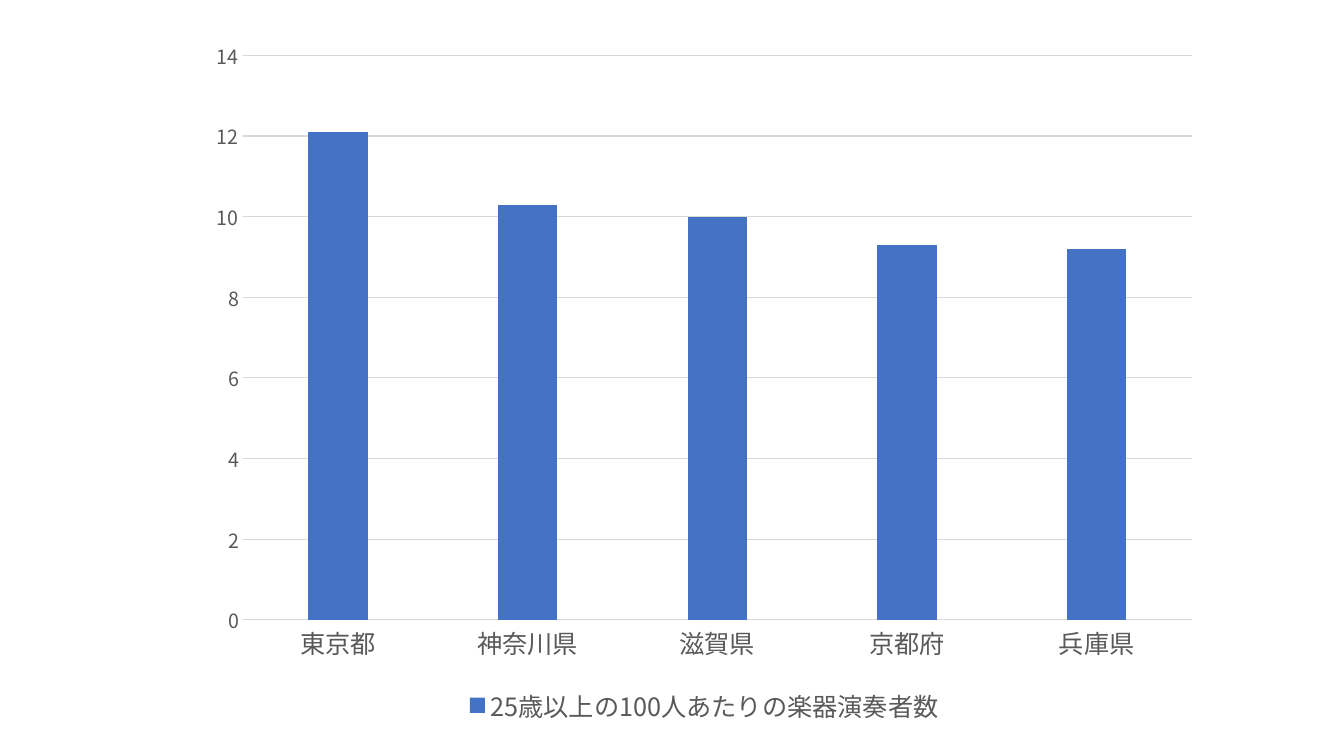
from dataclasses import dataclass
from typing import Any

import pptx
import pptx.chart.data
import pptx.dml.color
import pptx.enum.chart
import pptx.oxml
import pptx.oxml.ns
import pptx.util

FACE = "Noto Sans CJK JP"
COLORS = {"bar": "4472C4", "text": "595959", "grid": "D9D9D9", "base": "000000"}
TITLE = "25歳以上の100人あたりの楽器演奏者数"


@dataclass
class Score:
    place: str
    value: float


SCORES = [
    Score("東京都", 12.1),
    Score("神奈川県", 10.3),
    Score("滋賀県", 10),
    Score("京都府", 9.3),
    Score("兵庫県", 9.2),
]


def color(name: str) -> pptx.dml.color.RGBColor:
    return pptx.dml.color.RGBColor.from_string(COLORS[name])


def style(text: Any, *, size: float, tint: str = "text") -> None:
    """Format the font of a chart part, for Latin and Japanese letters."""
    font = text.font
    font.name = FACE
    font.size = pptx.util.Pt(size)
    font.bold = False
    font.color.rgb = color(tint)


def rule(line: Any) -> None:
    line.color.rgb = color("grid")
    line.width = pptx.util.Pt(0.75)


def draw(slide: Any) -> None:
    enum = pptx.enum.chart
    data = pptx.chart.data.CategoryChartData()
    data.categories = [score.place for score in SCORES]
    data.add_series(TITLE, [score.value for score in SCORES])
    box = [pptx.util.Inches(n) for n in (1.95, 0.27, 10.07, 6.96)]
    chart = slide.shapes.add_chart(
        enum.XL_CHART_TYPE.COLUMN_CLUSTERED, *box, data
    ).chart
    chart.has_title = False
    style(chart, size=10, tint="base")

    # Columns
    plot = chart.plots[0]
    plot.vary_by_categories = False
    plot.gap_width = 219
    plot.overlap = -27
    fill = plot.series[0].format.fill
    fill.solid()
    fill.fore_color.rgb = color("bar")

    # Axes
    places, values = chart.category_axis, chart.value_axis
    for axis, size in ((places, 18), (values, 14)):
        axis.major_tick_mark = enum.XL_TICK_MARK.NONE
        axis.minor_tick_mark = enum.XL_TICK_MARK.NONE
        style(axis.tick_labels, size=size)
    rule(places.format.line)
    values.format.line.fill.background()
    values.minimum_scale, values.maximum_scale = 0, 14
    values.major_unit = 2
    values.has_major_gridlines = True
    rule(values.major_gridlines.format.line)
    values.tick_labels.number_format = "General"
    values.tick_labels.number_format_is_linked = False

    # Legend
    chart.has_legend = True
    chart.legend.position = enum.XL_LEGEND_POSITION.BOTTOM
    chart.legend.include_in_layout = False
    style(chart.legend, size=18)

    # Japanese typeface beside each Latin one
    for latin in chart.element.xpath(".//a:latin"):
        asian = pptx.oxml.parse_xml(
            f'<a:ea {pptx.oxml.ns.nsdecls("a")} typeface="{FACE}"/>'
        )
        latin.addnext(asian)


def main() -> None:
    deck = pptx.Presentation()
    deck.slide_width = pptx.util.Inches(13.33)
    deck.slide_height = pptx.util.Inches(7.5)
    draw(deck.slides.add_slide(deck.slide_layouts[6]))
    deck.save("out.pptx")


if __name__ == "__main__":
    main()
